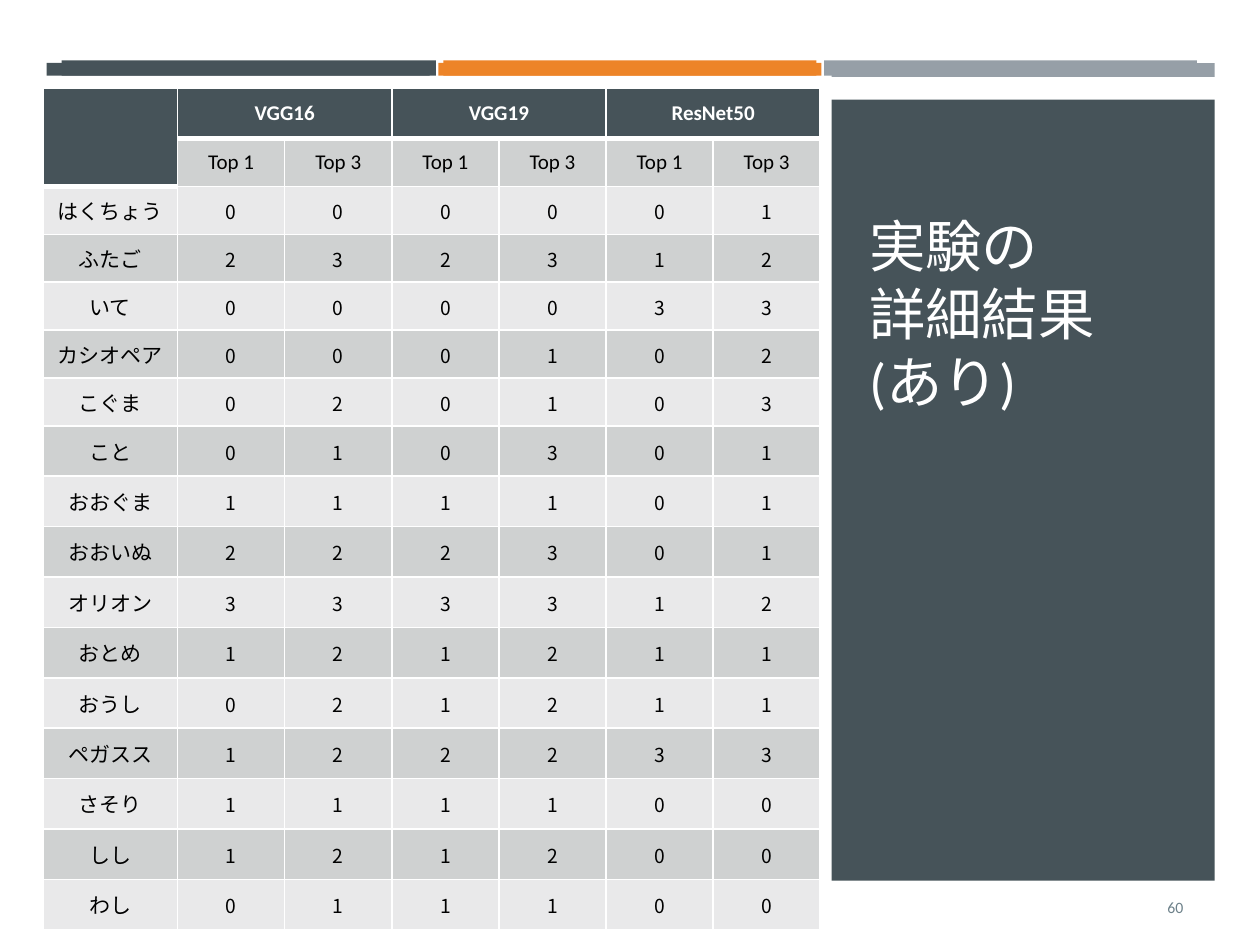
from lxml import etree
from pptx import Presentation
from pptx.dml.color import RGBColor
from pptx.enum.shapes import MSO_SHAPE
from pptx.enum.text import MSO_ANCHOR, MSO_AUTO_SIZE, PP_ALIGN
from pptx.oxml.ns import qn
from pptx.util import Inches, Pt

COLORS = {"slate": "465359", "orange": "ED8428", "gray": "969FA7",
          "white": "FFFFFF", "black": "000000", "number": "6D818A",
          "dark_band": "CFD1D1", "light_band": "E9E9EA"}
LATIN, JAPANESE = "Calibri", "Noto Sans CJK JP"


def style_text(paragraph, size, color, latin=LATIN, bold=False):
    for run in paragraph.runs:
        font_format = {"size": Pt(size), "name": latin, "bold": bold}
        for attribute, value in font_format.items():
            setattr(run.font, attribute, value)
        run.font.color.rgb = RGBColor.from_string(COLORS[color])
        east_asian = etree.SubElement(run.font._element, qn("a:ea"))
        east_asian.set("typeface", JAPANESE)


def add_borders(cell, bottom_width):
    """Draw white lines on all four sides; call before filling the cell."""
    properties = cell._tc.get_or_add_tcPr()
    for side, width in (("L", 1), ("R", 1), ("T", 1), ("B", bottom_width)):
        line = etree.SubElement(properties, qn(f"a:ln{side}"), w=str(Pt(width)))
        fill = etree.SubElement(line, qn("a:solidFill"))
        etree.SubElement(fill, qn("a:srgbClr"), val=COLORS["white"])


prs = Presentation()
prs.slide_width, prs.slide_height = Inches(10), Inches(7.5)
slide = prs.slides.add_slide(prs.slide_layouts[5])

# Top bars, white ground and title panel, from back to front
blocks = [
    (0.49, 0.48, 2.97, 0.12, "slate"),
    (6.54, 0.48, 2.96, 0.12, "gray"),
    (3.52, 0.48, 2.96, 0.12, "orange"),
    (0.37, 0.5, 3.04, 0.1, "slate"),
    (6.6, 0.5, 3.04, 0.11, "gray"),
    (0, 0.7, 10, 6.8, "white"),
    (6.6, 0.79, 3.04, 6.2, "slate"),
    (3.48, 0.5, 3.04, 0.1, "orange"),
]
for *bounds, color in blocks:
    block = slide.shapes.add_shape(MSO_SHAPE.RECTANGLE, *map(Inches, bounds))
    block.shadow.inherit = False
    block.fill.solid()
    block.fill.fore_color.rgb = RGBColor.from_string(COLORS[color])
    block.line.fill.background()

# Page number
page_number = slide.shapes.add_textbox(Inches(8.66), Inches(7), Inches(0.83), Inches(0.4))
page_number.text_frame.word_wrap = True
page_number.text_frame.vertical_anchor = MSO_ANCHOR.MIDDLE
page_paragraph = page_number.text_frame.paragraphs[0]
page_paragraph.text = "60"
page_paragraph.alignment = PP_ALIGN.RIGHT
page_paragraph.space_after = Pt(6)
style_text(page_paragraph, 9, "number")

# Results table: one digit per model and Top 1 / Top 3 column
models = ["VGG16", "VGG19", "ResNet50"]
results = {
    "はくちょう": "000001",
    "ふたご": "232312",
    "いて": "000033",
    "カシオペア": "000102",
    "こぐま": "020103",
    "こと": "010301",
    "おおぐま": "111101",
    "おおいぬ": "222301",
    "オリオン": "333312",
    "おとめ": "121211",
    "おうし": "021211",
    "ペガスス": "122233",
    "さそり": "111100",
    "しし": "121200",
    "わし": "011100",
}
table_rows = [[""] + [text for model in models for text in (model, "")],
              [""] + ["Top 1", "Top 3"] * len(models)]
table_rows += [[name, *scores] for name, scores in results.items()]

column_widths = [1.07] + [0.85] * 6
row_heights = [0.4] + [0.38] * 6 + [0.4] * 10
table = slide.shapes.add_table(
    len(row_heights), len(column_widths), Inches(0.34), Inches(0.7),
    Inches(sum(column_widths)), Inches(sum(row_heights))).table
for column, width in zip(table.columns, column_widths):
    column.width = Inches(width)
for row, height in zip(table.rows, row_heights):
    row.height = Inches(height)

for r, texts in enumerate(table_rows):
    for c, text in enumerate(texts):
        cell = table.cell(r, c)
        is_header = r == 0 or (r == 1 and c == 0)
        is_score = r > 1 and c > 0
        band = "dark_band" if r % 2 else "light_band"
        add_borders(cell, 3 if is_header else 1)
        cell.fill.solid()
        cell.fill.fore_color.rgb = RGBColor.from_string(COLORS["slate" if is_header else band])
        side, top, bottom = (0.01, 0.01, 0) if is_score else (0.07, 0.03, 0.03)
        cell_format = {"vertical_anchor": MSO_ANCHOR.MIDDLE,
                       "margin_left": Inches(side), "margin_right": Inches(side),
                       "margin_top": Inches(top), "margin_bottom": Inches(bottom)}
        for attribute, value in cell_format.items():
            setattr(cell, attribute, value)
        if text:
            paragraph = cell.text_frame.paragraphs[0]
            paragraph.text = text
            paragraph.alignment = PP_ALIGN.CENTER
            style_text(paragraph, 11 if is_score else 12,
                       "white" if is_header else "black",
                       JAPANESE if is_score else LATIN, bold=is_header)

table.cell(0, 0).merge(table.cell(1, 0))
for c in range(1, len(column_widths), 2):
    table.cell(0, c).merge(table.cell(0, c + 1))

# Title, brought in front of its panel
title = slide.shapes.title
slide.shapes._spTree.append(title._element)
title_bounds = {"left": 6.8, "top": 1.45, "width": 2.53, "height": 2.44}
for attribute, value in title_bounds.items():
    setattr(title, attribute, Inches(value))
title_format = {"word_wrap": True, "auto_size": MSO_AUTO_SIZE.NONE,
                "vertical_anchor": MSO_ANCHOR.BOTTOM, "margin_bottom": Inches(0.6)}
for attribute, value in title_format.items():
    setattr(title.text_frame, attribute, value)
title_paragraph = title.text_frame.paragraphs[0]
title_paragraph.text = "実験の\v詳細結果\v(あり)"
title_paragraph.alignment = PP_ALIGN.LEFT
title_paragraph.line_spacing = Pt(38.9)
style_text(title_paragraph, 32.2, "white")

prs.save("out.pptx")
